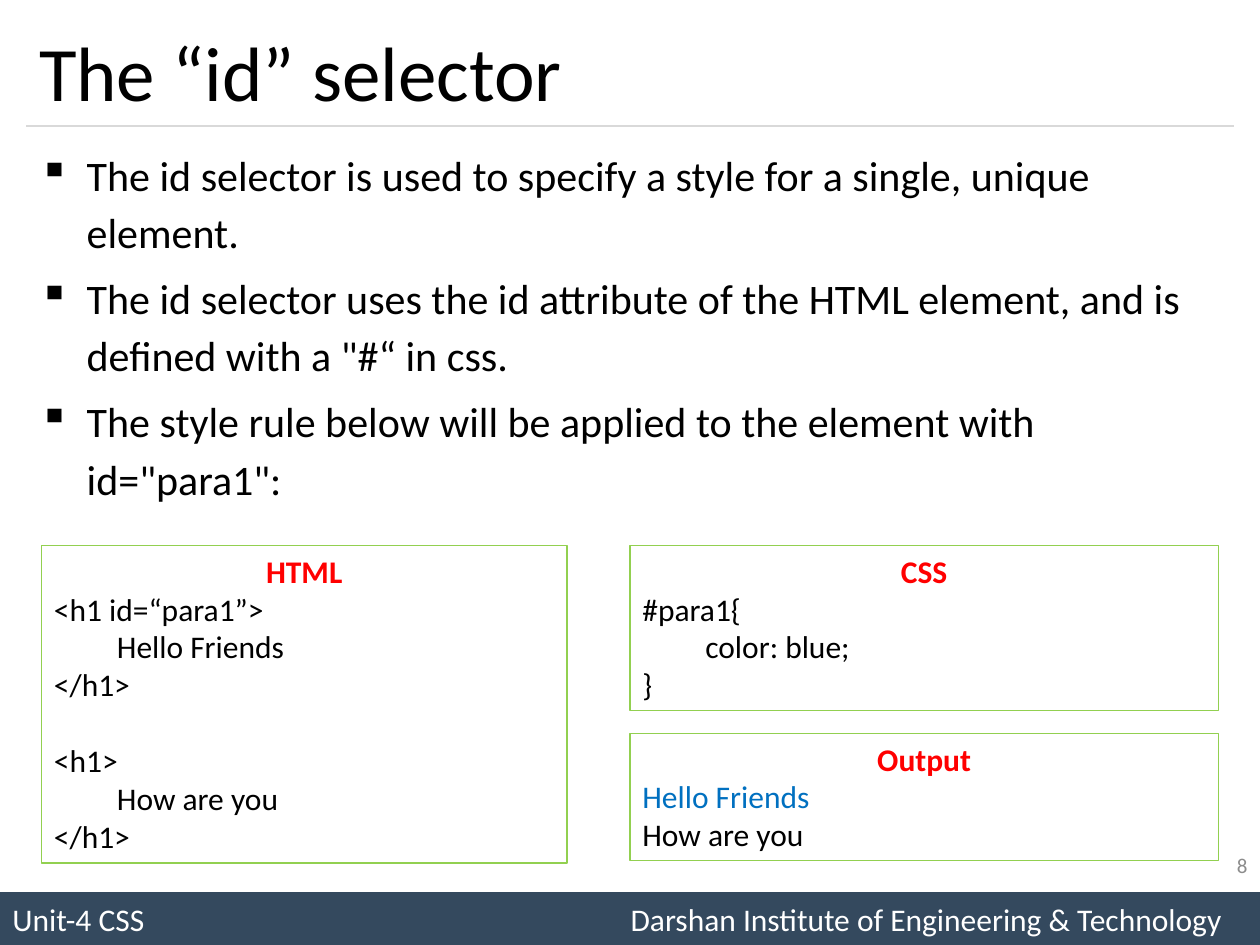
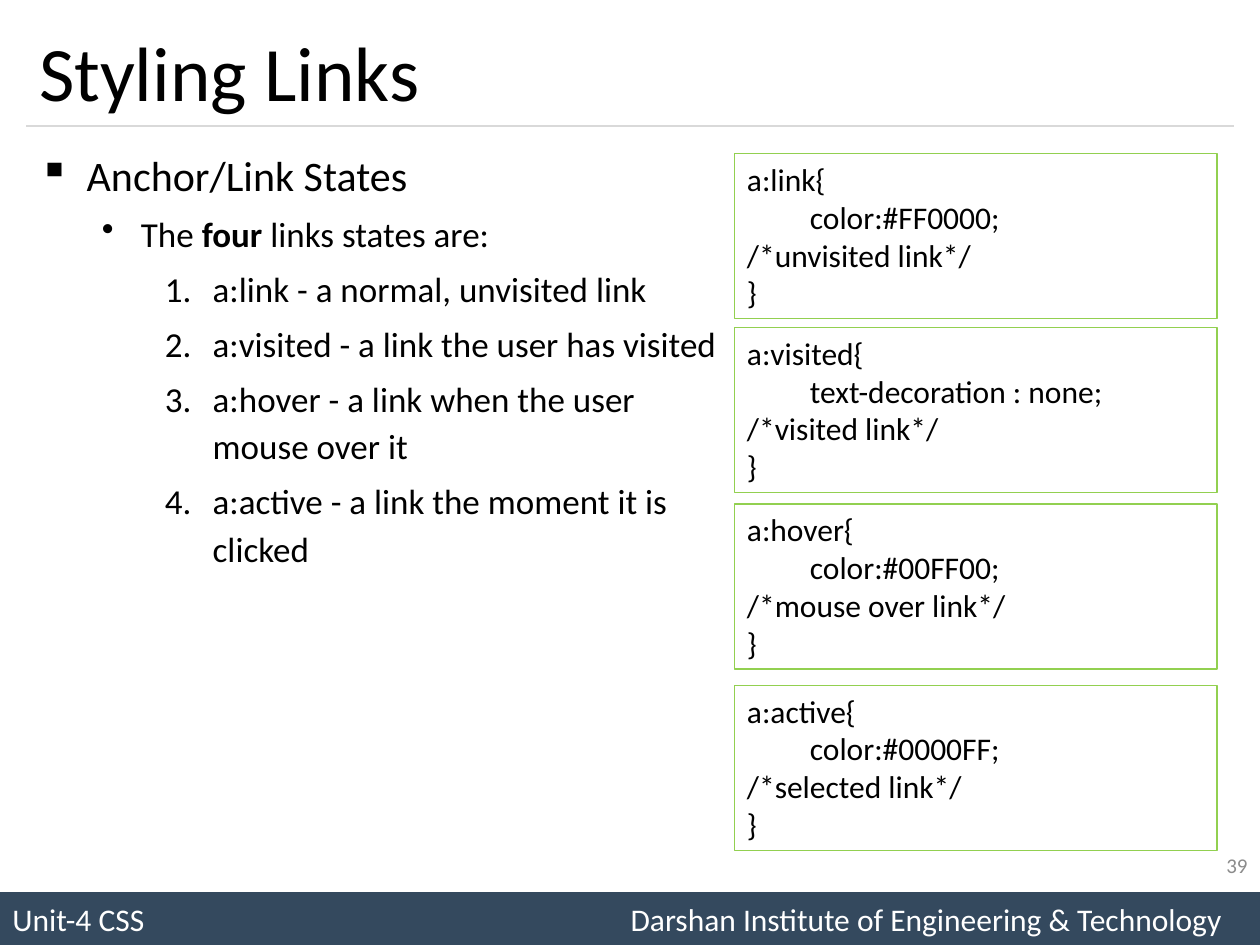
from dataclasses import dataclass

from lxml import etree
from pptx import Presentation
from pptx.dml.color import RGBColor
from pptx.enum.shapes import MSO_CONNECTOR, MSO_SHAPE
from pptx.enum.text import MSO_ANCHOR, MSO_AUTO_SIZE, PP_ALIGN
from pptx.oxml.ns import qn
from pptx.util import Pt

LEFT, CENTER, RIGHT = PP_ALIGN.LEFT, PP_ALIGN.CENTER, PP_ALIGN.RIGHT
MIDDLE = MSO_ANCHOR.MIDDLE
NO_FIT, GROW = MSO_AUTO_SIZE.NONE, MSO_AUTO_SIZE.SHAPE_TO_FIT_TEXT
RECTANGLE, STRAIGHT = MSO_SHAPE.RECTANGLE, MSO_CONNECTOR.STRAIGHT
PX = 9144


@dataclass(frozen=True)
class Theme:
    font: str = "Calibri"
    text: str = "000000"
    heading: str = "FF0000"
    blue: str = "0070C0"
    box_line: str = "92D050"
    rule: str = "D9D9D9"
    band: str = "34495E"
    band_text: str = "FFFFFF"
    number: str = "8C8C8C"
    title_size: int = 44
    code_size: int = 18
    number_size: int = 12
    line_width: float = 0.75
    line_spacing: float = 1.14


@dataclass(frozen=True)
class Level:
    size: int
    margin: int
    hanging: int
    bullet: str


@dataclass(frozen=True)
class Item:
    text: str
    level: int = 0


@dataclass(frozen=True)
class Line:
    text: str
    color: str
    bold: bool = False
    align: PP_ALIGN = LEFT
    before: int = 0


@dataclass(frozen=True)
class Box:
    x: int
    y: int
    w: int
    h: int
    lines: tuple


@dataclass(frozen=True)
class Page:
    title: str
    number: int
    body_size: tuple
    items: tuple
    boxes: tuple


THEME = Theme()
LEVELS = (
    Level(24, 38, 38, "▪"),
    Level(20, 81, 31, "•"),
    Level(20, 138, 38, ""),
)
BLANK_LINE = 22


def heading(text: str) -> Line:
    return Line(text, THEME.heading, True, CENTER)


def code(text: str, before: int = 0) -> Line:
    return Line(text, THEME.text, before=before)


def state_box(y: int, state: str, rule: str, comment: str) -> Box:
    lines = (f"a:{state}{{", f"\t{rule}", f"/*{comment}*/", "}")
    return Box(583, y, 383, 131, tuple(code(text) for text in lines))


PAGES = (
    Page(
        "The “id” selector", 8, (958, 317),
        (
            Item("The id selector is used to specify a style for a single, unique element."),
            Item("The id selector uses the id attribute of the HTML element, and is "
                 "defined with a \"#“ in css."),
            Item("The style rule below will be applied to the element with id=\"para1\":"),
        ),
        (
            Box(33, 433, 417, 252, (
                heading("HTML"),
                code("<h1 id=“para1”>"), code("\tHello Friends"), code("</h1>"),
                code("<h1>", BLANK_LINE), code("\tHow are you"), code("</h1>"),
            )),
            Box(500, 433, 467, 131, (
                heading("CSS"), code("#para1{"), code("\tcolor: blue;"), code("}"),
            )),
            Box(500, 582, 467, 101, (
                heading("Output"), Line("Hello Friends", THEME.blue), code("How are you"),
            )),
        ),
    ),
    Page(
        "Styling Links", 39, (562, 583),
        (
            Item("Anchor/Link States"),
            Item("The **four** links states are:", 1),
            Item("a:link - a normal, unvisited link", 2),
            Item("a:visited - a link the user has visited", 2),
            Item("a:hover - a link when the user mouse over it", 2),
            Item("a:active - a link the moment it is clicked", 2),
        ),
        (
            state_box(122, "link", "color:#FF0000;", "unvisited link"),
            state_box(260, "visited", "text-decoration : none;", "visited link"),
            state_box(400, "hover", "color:#00FF00;", "mouse over link"),
            state_box(544, "active", "color:#0000FF;", "selected link"),
        ),
    ),
)


def rgb(color: str) -> RGBColor:
    return RGBColor.from_string(color)


def px(*lengths: int) -> list[int]:
    return [length * PX for length in lengths]


def style(p, size: int, color: str, bold: bool = False, align: PP_ALIGN = LEFT) -> None:
    p.alignment = align
    for r in p.runs:
        r.font.name = THEME.font
        r.font.size = Pt(size)
        r.font.bold = bold
        r.font.color.rgb = rgb(color)


def add_text(s, x: int, y: int, w: int, h: int):
    tf = s.shapes.add_textbox(*px(x, y, w, h)).text_frame
    tf.word_wrap = True
    return tf


def next_paragraph(tf, index: int):
    return tf.add_paragraph() if index else tf.paragraphs[0]


def set_bullet(p, level: Level) -> None:
    pPr = p._p.get_or_add_pPr()
    pPr.set("marL", str(level.margin * PX))
    pPr.set("indent", str(-level.hanging * PX))
    if level.bullet:
        etree.SubElement(pPr, qn("a:buChar"), char=level.bullet)
    else:
        etree.SubElement(pPr, qn("a:buAutoNum"), type="arabicPeriod")


def add_title(s, text: str) -> None:
    sp = s.shapes.title
    sp.left, sp.top, sp.width, sp.height = px(21, 12, 958, 88)
    tf = sp.text_frame
    tf.text = text
    tf.auto_size = NO_FIT
    tf.vertical_anchor = MIDDLE
    style(tf.paragraphs[0], THEME.title_size, THEME.text)


def add_rule(s) -> None:
    line = s.shapes.add_connector(STRAIGHT, *px(21, 100, 979, 100))
    line.line.color.rgb = rgb(THEME.rule)
    line.line.width = Pt(THEME.line_width)
    etree.SubElement(line._element.spPr, qn("a:effectLst"))


def add_footer(s) -> None:
    sp = s.shapes.add_shape(RECTANGLE, *px(0, 708, 1000, 42))
    sp.shadow.inherit = False
    sp.fill.solid()
    sp.fill.fore_color.rgb = rgb(THEME.band)
    sp.line.fill.background()
    sp.text_frame.vertical_anchor = MIDDLE
    p = sp.text_frame.paragraphs[0]
    p.text = "Unit-4 CSS\tDarshan Institute of Engineering & Technology"
    tabs = etree.SubElement(p._p.get_or_add_pPr(), qn("a:tabLst"))
    etree.SubElement(tabs, qn("a:tab"), pos=str(960 * PX), algn="r")
    style(p, THEME.code_size, THEME.band_text)


def add_number(s, number: int) -> None:
    tf = add_text(s, 767, 667, 233, 40)
    tf.vertical_anchor = MIDDLE
    tf.text = str(number)
    style(tf.paragraphs[0], THEME.number_size, THEME.number, align=RIGHT)


def add_body(s, size: tuple, items: tuple) -> None:
    tf = add_text(s, 21, 108, *size)
    for i, item in enumerate(items):
        level = LEVELS[item.level]
        p = next_paragraph(tf, i)
        p.level = item.level
        set_bullet(p, level)
        p.line_spacing = THEME.line_spacing
        p.space_before = Pt(level.size * 0.2 if i else 0)
        parts = item.text.split("**")
        for part in parts:
            p.add_run().text = part
        style(p, level.size, THEME.text)
        for r in p.runs[1::2]:
            r.font.bold = True


def add_box(s, box: Box) -> None:
    sp = s.shapes.add_shape(RECTANGLE, *px(box.x, box.y, box.w, box.h))
    sp.shadow.inherit = False
    sp.fill.background()
    sp.line.color.rgb = rgb(THEME.box_line)
    sp.line.width = Pt(THEME.line_width)
    tf = sp.text_frame
    tf.word_wrap = True
    tf.auto_size = GROW
    tf.vertical_anchor = MSO_ANCHOR.TOP
    for i, line in enumerate(box.lines):
        p = next_paragraph(tf, i)
        p.text = line.text
        p.space_before = Pt(line.before)
        style(p, THEME.code_size, line.color, line.bold, line.align)


def add_page(prs, page: Page) -> None:
    s = prs.slides.add_slide(prs.slide_layouts.get_by_name("Title Only"))
    add_footer(s)
    add_rule(s)
    add_title(s, page.title)
    add_body(s, page.body_size, page.items)
    for box in page.boxes:
        add_box(s, box)
    add_number(s, page.number)


def main() -> None:
    prs = Presentation()
    prs.slide_width, prs.slide_height = px(1000, 750)
    for page in PAGES:
        add_page(prs, page)
    prs.save("out.pptx")


if __name__ == "__main__":
    main()
